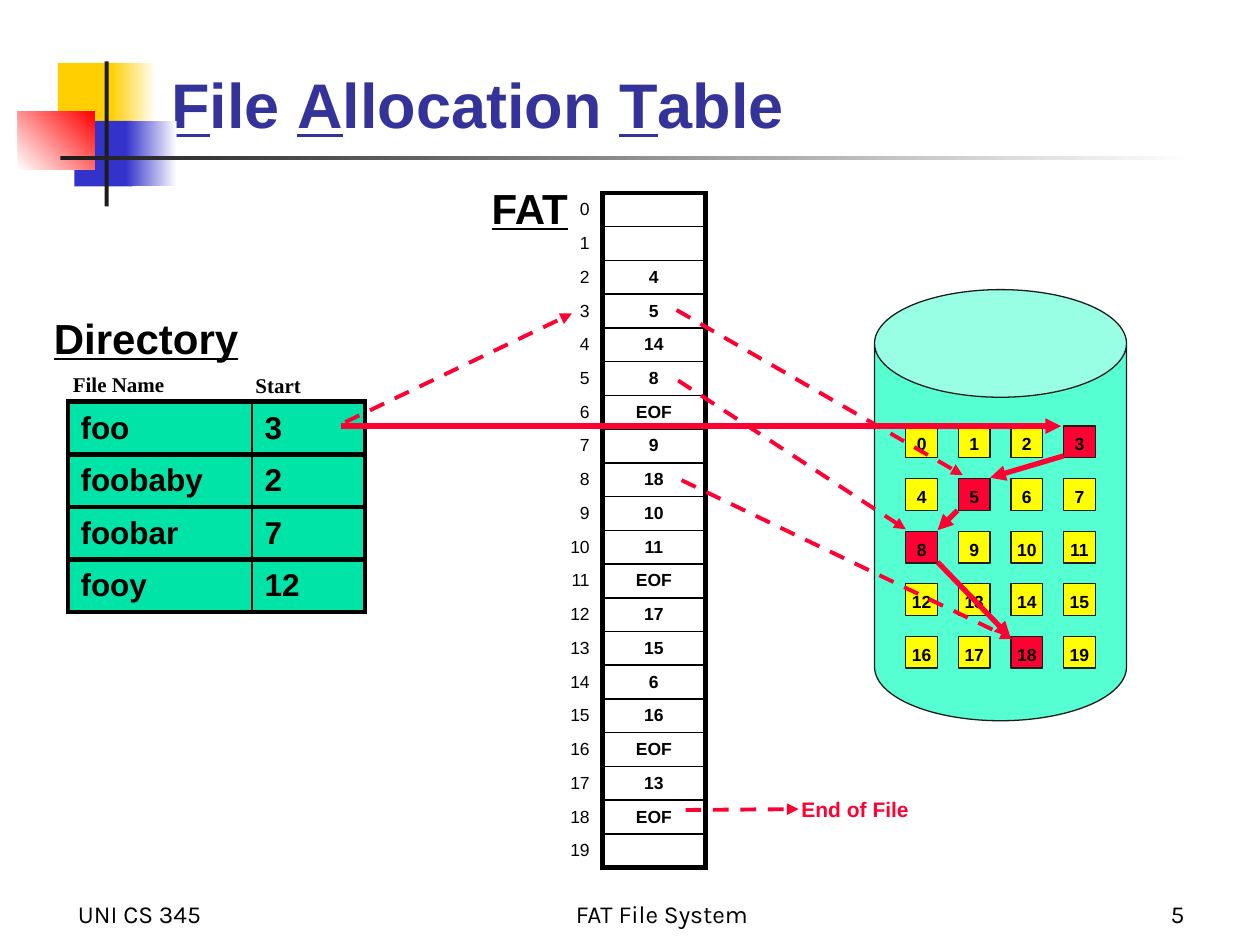
"""Build a slide that explains the File Allocation Table."""
from lxml import etree
from pptx import Presentation
from pptx.dml.color import RGBColor
from pptx.enum.dml import MSO_LINE
from pptx.enum.shapes import MSO_CONNECTOR, MSO_SHAPE
from pptx.enum.text import MSO_ANCHOR, MSO_AUTO_SIZE, PP_ALIGN
from pptx.oxml.ns import qn
from pptx.util import Cm, Pt

RECT, CAN, LINE = MSO_SHAPE.RECTANGLE, MSO_SHAPE.CAN, MSO_CONNECTOR.STRAIGHT
LEFT, MID, RIGHT = PP_ALIGN.LEFT, PP_ALIGN.CENTER, PP_ALIGN.RIGHT
TOP, CENTER, BOTTOM = MSO_ANCHOR.TOP, MSO_ANCHOR.MIDDLE, MSO_ANCHOR.BOTTOM
DASH, FIXED = MSO_LINE.DASH, MSO_AUTO_SIZE.NONE

HEX = {
    "black": "000000", "ink": "1C1C1C", "white": "FFFFFF", "gold": "FFCF01",
    "blue": "3333CC", "navy": "333399", "pure": "FF0000", "red": "FF0033",
    "yellow": "FFFF00", "aqua": "56FFD2", "mint": "00E4A8",
}
RGB = {name: RGBColor.from_string(code) for name, code in HEX.items()}


def style(frame, size, align=LEFT, bold=True, face="Arial", tone="black"):
    for par in frame.paragraphs:
        par.alignment = align
        for run in par.runs:
            font = run.font
            font.size, font.bold, font.name = Pt(size), bold, face
            font.color.rgb = RGB[tone]


def box(kind, left, top, width, height, tone, edge=None):
    shape = slide.shapes.add_shape(kind, Cm(left), Cm(top), Cm(width), Cm(height))
    shape.shadow.inherit = False
    shape.fill.solid()
    shape.fill.fore_color.rgb = RGB[tone]
    shape.line.fill.background()
    if edge:
        shape.line.color.rgb = RGB[edge]
        shape.line.width = Pt(0.75)
    return shape


deck = Presentation()
deck.slide_width, deck.slide_height = Cm(25.4), Cm(19.05)
slide = deck.slides.add_slide(deck.slide_layouts[5])

decor = [
    (1.17, 1.27, 1.22, 1.32, "gold", None, 0),
    (2.24, 1.27, 0.91, 1.32, "gold", "white", 0),
    (1.5, 2.44, 1.17, 1.32, "blue", None, 0),
    (2.54, 2.44, 1.02, 1.32, "blue", "white", 0),
    (0.36, 2.24, 1.55, 1.17, "white", "pure", 45),
    (2.11, 1.24, 0.08, 2.92, "ink", None, 0),
    (1.22, 3.15, 22.86, 0.08, "ink", "white", 0),
]
for *place, tone, fade, angle in decor:
    fill = box(RECT, *place, tone).fill
    if fade:
        fill.gradient()
        fill.gradient_angle = angle
        for stop, name in zip(fill.gradient_stops, (tone, fade)):
            stop.color.rgb = RGB[name]

title = slide.shapes.title
title.left, title.top, title.width, title.height = Cm(3.2), Cm(0.81), Cm(21.03), Cm(2.16)
frame = title.text_frame
frame.auto_size, frame.vertical_anchor = FIXED, BOTTOM
for n, part in enumerate(["F", "ile ", "A", "llocation ", "T", "able"]):
    run = frame.paragraphs[0].add_run()
    run.text = part
    run.font.underline = n % 2 == 0
style(frame, 36, tone="navy")

disk = box(CAN, 17.63, 5.84, 5.08, 8.69, "aqua", "ink")
disk.adjustments[0] = 0.427
chain = [3, 5, 8, 18]
for n in range(20):
    row, col = divmod(n, 4)
    tone = "red" if n in chain else "yellow"
    block = box(RECT, 18.26 + 1.06 * col, 8.59 + 1.06 * row, 0.64, 0.64, tone, "ink")
    frame = block.text_frame
    frame.margin_left = frame.margin_right = frame.margin_bottom = 0
    frame.margin_top = Cm(0.08)
    frame.word_wrap, frame.vertical_anchor = False, CENTER
    frame.text = str(n)
    style(frame, 10, MID)

fat = ["", "", "4", "5", "14", "8", "EOF", "9", "18", "10",
       "11", "EOF", "17", "15", "6", "16", "EOF", "13", "EOF", ""]
files = [("foo", "3"), ("foobaby", "2"), ("foobar", "7"), ("fooy", "12")]
grids = [
    ("fat", 10.9, 3.89, (1.24, 2.08), 0.68, [(str(n), v) for n, v in enumerate(fat)], 10),
    ("files", 1.37, 8.1, (3.71, 2.28), 1.06, files, 18),
]
for name, left, top, widths, height, rows, size in grids:
    last = len(rows) - 1
    table = slide.shapes.add_table(
        len(rows), 2, Cm(left), Cm(top), Cm(sum(widths)), Cm(height * len(rows))).table
    table.first_row = table.horz_banding = False
    for col, width in zip(table.columns, widths):
        col.width = Cm(width)
    for i, words in enumerate(rows):
        table.rows[i].height = Cm(height)
        for j, word in enumerate(words):
            cell = table.cell(i, j)
            cell.margin_top = cell.margin_bottom = 0
            cell.vertical_anchor = CENTER
            cell.text = word
            if name == "files":
                edges = {"L": 0.75 if j else 3, "R": 3 if j else 0.75, "T": 3, "B": 3}
                style(cell.text_frame, size)
            elif j:
                edges = {"L": 3, "R": 3, "T": 1 if i else 3, "B": 3 if i == last else 1}
                style(cell.text_frame, size, MID)
            else:
                edges = {"R": 3}
                style(cell.text_frame, size, RIGHT, False)
            if not word:
                par = cell.text_frame.paragraphs[0]._p
                etree.SubElement(par, qn("a:endParaRPr"), sz=str(size * 100))
            props = cell._tc.get_or_add_tcPr()
            for side, width in edges.items():
                line = etree.SubElement(props, qn("a:ln" + side), w=str(Pt(width)))
                paint = etree.SubElement(line, qn("a:solidFill"))
                etree.SubElement(paint, qn("a:srgbClr"), val=HEX["black"])
            if name == "files":
                cell.fill.solid()
                cell.fill.fore_color.rgb = RGB["mint"]
            else:
                cell.fill.background()

arrows = [
    (21.44, 9.19, 19.96, 9.63, False),
    (19.3, 10.29, 18.9, 10.69, False),
    (18.9, 11.33, 20.37, 12.85, False),
    (6.88, 8.59, 21.39, 8.59, False),
    (6.96, 8.51, 11.53, 6.32, True),
    (13.64, 6.25, 19.41, 9.58, True),
    (13.67, 7.67, 18.26, 10.67, True),
    (13.74, 9.68, 20.4, 12.88, True),
    (13.82, 16.33, 16.1, 16.31, True),
]
for *ends, dashed in arrows:
    arrow = slide.shapes.add_connector(LINE, *[Cm(v) for v in ends])
    arrow.line.color.rgb = RGB["red"]
    arrow.line.width = Pt(2.25 if dashed else 3)
    if dashed:
        arrow.line.dash_style = DASH
    etree.SubElement(arrow.line._get_or_add_ln(), qn("a:tailEnd"), type="triangle")
    etree.SubElement(arrow._element.spPr, qn("a:effectLst"))

labels = [
    ("Directory", 0.81, 6.17, 4.27, 1.3, 24, MID, True, "Arial", "black"),
    ("FAT", 9.65, 3.56, 2.06, 1.3, 24, MID, True, "Arial", "black"),
    ("File Name", 1.22, 7.37, 3.23, 0.76, 12, LEFT, True, "Times New Roman", "black"),
    ("Start", 4.9, 7.39, 2.49, 0.76, 12, LEFT, True, "Times New Roman", "black"),
    ("End of File", 15.88, 15.93, 2.72, 0.76, 12, MID, True, "Arial", "red"),
    ("UNI CS 345", 1.32, 17.58, 5.28, 1.27, 14, LEFT, False, "Karla", "black"),
    ("FAT File System", 9.32, 17.58, 8.05, 1.27, 14, MID, False, "Karla", "black"),
    ("5", 18.85, 17.58, 5.28, 1.27, 14, RIGHT, False, "Karla", "black"),
]
for text, left, top, width, height, size, align, bold, face, tone in labels:
    label = slide.shapes.add_textbox(Cm(left), Cm(top), Cm(width), Cm(height))
    frame = label.text_frame
    frame.word_wrap = align != MID
    frame.vertical_anchor = BOTTOM if face == "Karla" else TOP
    frame.text = text
    style(frame, size, align, bold, face, tone)
    if size == 24:
        frame.paragraphs[0].runs[0].font.underline = True

deck.save("out.pptx")
